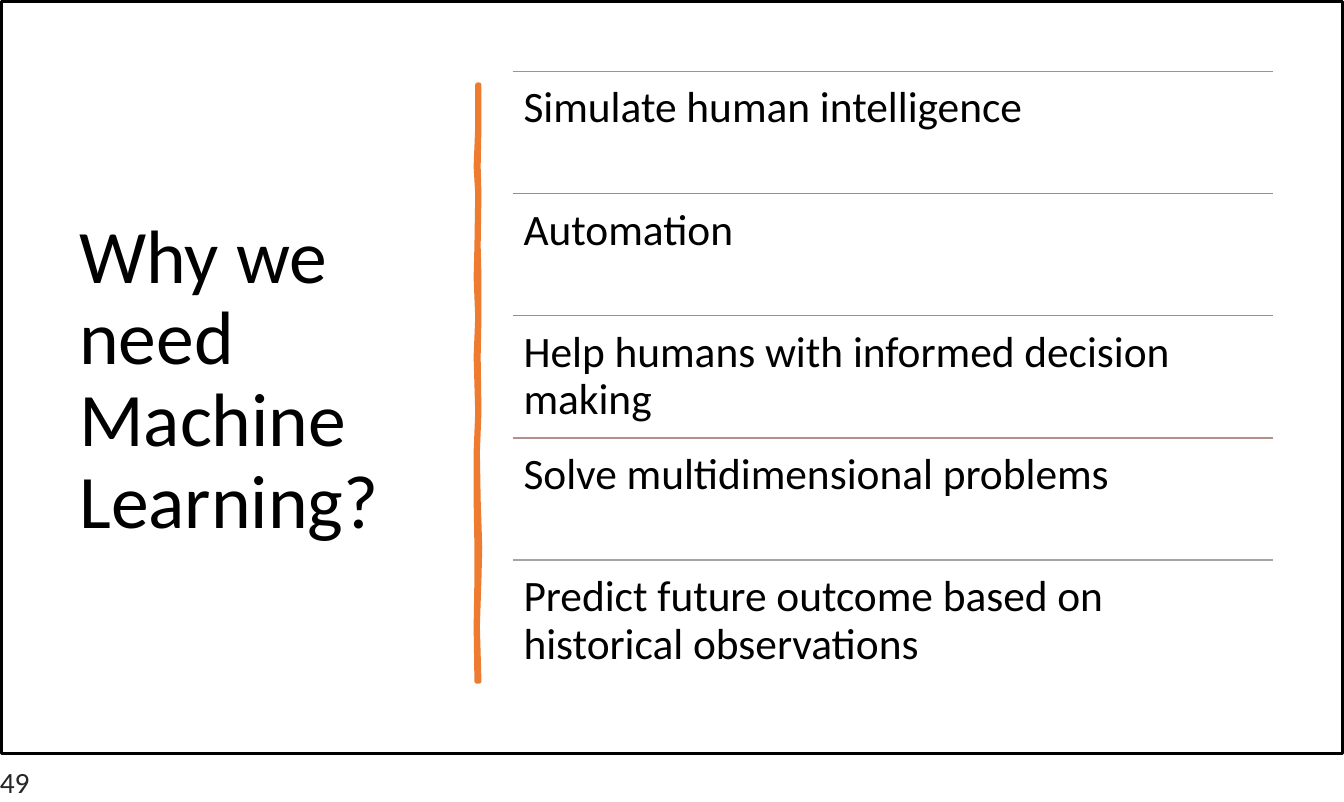
"""Build the slide on why machine learning is needed."""
from lxml.etree import SubElement
from pptx import Presentation
from pptx.dml.color import RGBColor
from pptx.enum.shapes import MSO_CONNECTOR, MSO_SHAPE
from pptx.oxml.ns import qn
from pptx.util import Cm, Pt

TITLE = "Why we need Machine Learning?"
REASONS = [
    ("Simulate human intelligence", "rule1"),
    ("Automation", "rule2"),
    ("Help humans with informed decision making", "rule3"),
    ("Solve multidimensional problems", "rule4"),
    ("Predict future outcome based on historical observations", "rule5"),
]
PAGE_NUMBER = "49"
COLOURS = {
    "text": "000000", "number": "262626", "frame": "000000", "brush": "ED7C31",
    "rule1": "ED7C31", "rule2": "D87950", "rule3": "C38070",
    "rule4": "B3908A", "rule5": "A5A5A5",
}
FONT = "Calibri"

# Height, left edge and right edge of the brush stroke, in centimetres
BRUSH_EDGES = [
    (1.07, 6.02, 6.04), (1.6, 6.02, 6.04), (2.1, 6.0, 6.03), (2.45, 6.02, 6.04),
    (3.1, 6.01, 6.03), (3.5, 6.0, 6.04), (4.0, 6.02, 6.04), (4.5, 6.0, 6.03),
    (5.2, 6.02, 6.04), (5.7, 6.0, 6.02), (6.3, 6.0, 6.03), (6.9, 6.01, 6.05),
    (7.3, 6.01, 6.04), (7.9, 6.0, 6.02), (8.59, 6.01, 6.04),
]
RULE_LEFT, RULE_RIGHT, FIRST_RULE, RULE_STEP = 6.46, 16.04, 0.9, 1.54
REASON_LEFT, REASON_DROP = 6.6, 0.16


def colour(key):
    return RGBColor.from_string(COLOURS[key])


def add_text(slide, words, left, top, width, height, size, key="text", spacing=None):
    frame = slide.shapes.add_textbox(Cm(left), Cm(top), Cm(width), Cm(height)).text_frame
    frame.word_wrap = True
    frame.margin_left = frame.margin_top = frame.margin_right = frame.margin_bottom = 0
    paragraph = frame.paragraphs[0]
    paragraph.text = words
    paragraph.line_spacing = spacing
    paragraph.font.name = FONT
    paragraph.font.size = Pt(size)
    paragraph.font.color.rgb = colour(key)


def add_rule(slide, height, key):
    rule = slide.shapes.add_connector(
        MSO_CONNECTOR.STRAIGHT, Cm(RULE_LEFT), Cm(height), Cm(RULE_RIGHT), Cm(height))
    rule.line.color.rgb = colour(key)
    rule.line.width = Pt(0.48)
    SubElement(rule.element.spPr, qn("a:effectLst"))


def add_brush(slide):
    left_edge = [(Cm(left), Cm(height)) for height, left, _ in BRUSH_EDGES]
    right_edge = [(Cm(right), Cm(height)) for height, _, right in BRUSH_EDGES]
    outline = left_edge + right_edge[::-1]
    builder = slide.shapes.build_freeform(*outline[0])
    builder.add_line_segments(outline[1:], close=True)
    brush = builder.convert_to_shape()
    brush.shadow.inherit = False
    brush.fill.solid()
    brush.fill.fore_color.rgb = colour("brush")
    brush.line.color.rgb = colour("brush")
    brush.line.width = Pt(1.68)


def add_frame(slide):
    frame = slide.shapes.add_shape(
        MSO_SHAPE.RECTANGLE, Cm(0.02), Cm(0.02), Cm(16.9), Cm(9.48))
    frame.shadow.inherit = False
    frame.fill.background()
    frame.line.color.rgb = colour("frame")
    frame.line.width = Pt(0.96)


def main():
    deck = Presentation()
    deck.slide_width, deck.slide_height = Cm(16.94), Cm(10.11)
    slide = deck.slides.add_slide(deck.slide_layouts[6])
    add_text(slide, TITLE, 1, 2.73, 3.8, 4.2, 27, spacing=Pt(29.2))
    add_brush(slide)
    for index, (reason, key) in enumerate(REASONS):
        height = FIRST_RULE + index * RULE_STEP
        add_rule(slide, height, key)
        add_text(slide, reason, REASON_LEFT, height + REASON_DROP, 8.5, 1.2, 15.5,
                 spacing=Pt(17))
    add_frame(slide)
    add_text(slide, PAGE_NUMBER, 0, 9.64, 0.5, 0.45, 10.5, key="number")
    deck.save("out.pptx")


if __name__ == "__main__":
    main()
